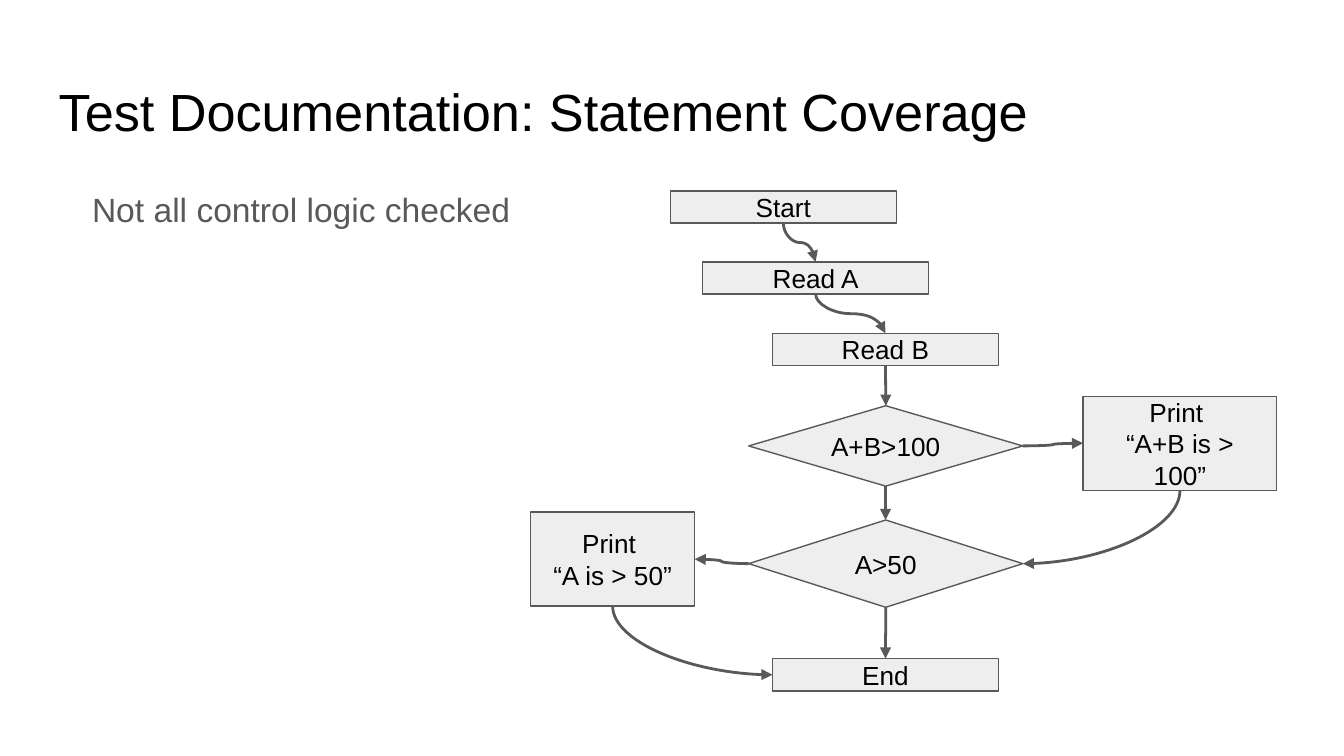
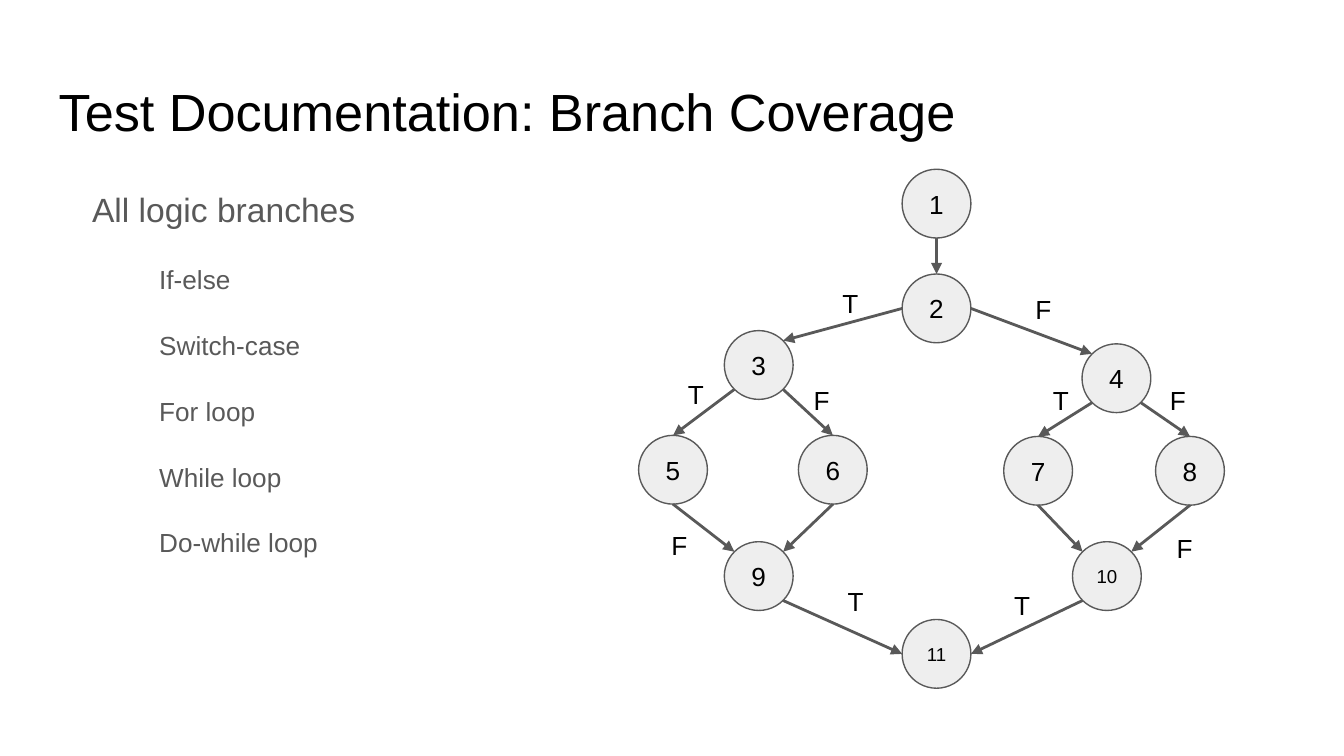
"""Build two slides on test documentation: statement coverage and branch coverage."""
from lxml import etree
from pptx import Presentation
from pptx.dml.color import RGBColor
from pptx.enum.shapes import MSO_CONNECTOR, MSO_SHAPE
from pptx.enum.text import MSO_ANCHOR, MSO_AUTO_SIZE, PP_ALIGN
from pptx.oxml.ns import qn
from pptx.util import Cm, Pt

BLACK = RGBColor(0x00, 0x00, 0x00)
GREY = RGBColor(0x59, 0x59, 0x59)
PALE = RGBColor(0xEE, 0xEE, 0xEE)
FONT = "Arial"
INSET = Cm(0.25)
RECT = MSO_SHAPE.RECTANGLE
DECISION = MSO_SHAPE.FLOWCHART_DECISION
CIRCLE = MSO_SHAPE.OVAL
CURVE = MSO_CONNECTOR.CURVE
STRAIGHT = MSO_CONNECTOR.STRAIGHT
TOP, BOTTOM, LEFT, RIGHT = (0, -1), (0, 1), (-1, 0), (1, 0)
DIAG = 0.71
TOP_LEFT, TOP_RIGHT = (-DIAG, -DIAG), (DIAG, -DIAG)
BOTTOM_LEFT, BOTTOM_RIGHT = (-DIAG, DIAG), (DIAG, DIAG)


def add_node(slide, outline, lines, box, size=14):
    """Add a centred text in an outline, or in a bare text box when outline is None."""
    lengths = [Cm(v) for v in box]
    if outline is None:
        node = slide.shapes.add_textbox(*lengths)
    else:
        node = slide.shapes.add_shape(outline, *lengths)
        node.shadow.inherit = False
        node.fill.solid()
        node.fill.fore_color.rgb = PALE
        node.line.color.rgb = GREY
        node.line.width = Pt(0.75)
    frame = node.text_frame
    frame.word_wrap = True
    frame.vertical_anchor = MSO_ANCHOR.MIDDLE
    frame.margin_left = frame.margin_right = frame.margin_top = frame.margin_bottom = INSET
    paragraph = frame.paragraphs[0]
    paragraph.alignment = PP_ALIGN.CENTER
    for i, line in enumerate(lines):
        if i:
            paragraph.add_line_break()
        run = paragraph.add_run()
        run.text = line
        run.font.name = FONT
        run.font.size = Pt(size)
        run.font.color.rgb = BLACK


def add_arrow(slide, kind, start_box, start_site, end_box, end_site):
    """Draw an arrow between sites given as offsets from the centre of each box."""
    (x1, y1), (x2, y2) = [
        (left + width / 2 * (1 + dx), top + height / 2 * (1 + dy))
        for (left, top, width, height), (dx, dy) in ((start_box, start_site), (end_box, end_site))
    ]
    turned = kind == CURVE and start_site == BOTTOM
    rightward = x2 >= x1
    if turned:
        mid_x, mid_y = (x1 + x2) / 2, (y1 + y2) / 2
        half_w = (y2 - y1) / 2 if rightward else (y1 - y2) / 2
        half_h = abs(x2 - x1) / 2
        x1, x2 = mid_x + half_w, mid_x - half_w
        y1, y2 = mid_y - half_h, mid_y + half_h
    arrow = slide.shapes.add_connector(kind, Cm(x1), Cm(y1), Cm(x2), Cm(y2))
    if turned:
        arrow.rotation = 270 if rightward else 90
    arrow.line.color.rgb = GREY
    arrow.line.width = Pt(1.5)
    properties = arrow.element.spPr
    if turned and end_site in (LEFT, RIGHT):
        properties.find(qn("a:prstGeom")).set("prst", "curvedConnector2")
    etree.SubElement(properties.find(qn("a:ln")), qn("a:tailEnd")).set("type", "triangle")
    etree.SubElement(properties, qn("a:effectLst"))


prs = Presentation()
prs.slide_width, prs.slide_height = Cm(25.4), Cm(14.29)

coverage_texts = [
    ("Statement", 23.67, [("Not all control logic checked", 0)]),
    ("Branch", 7.14, [("All logic branches", 0), ("If-else", 1), ("Switch-case", 1),
                      ("For loop", 1), ("While loop", 1), ("Do-while loop", 1)]),
]
for coverage, body_width, points in coverage_texts:
    slide = prs.slides.add_slide(prs.slide_layouts[5])
    title = slide.shapes.title
    title.left, title.top, title.width, title.height = Cm(0.86), Cm(1.24), Cm(23.67), Cm(1.6)
    body = slide.shapes.add_textbox(Cm(0.86), Cm(3.2), Cm(body_width), Cm(9.5))
    for frame in (title.text_frame, body.text_frame):
        frame.auto_size = MSO_AUTO_SIZE.NONE
        frame.word_wrap = True
        frame.vertical_anchor = MSO_ANCHOR.TOP
        frame.margin_left = frame.margin_right = frame.margin_top = frame.margin_bottom = INSET
    heading = title.text_frame.paragraphs[0]
    heading.alignment = PP_ALIGN.LEFT
    run = heading.add_run()
    run.text = f"Test Documentation: {coverage} Coverage"
    run.font.name = FONT
    run.font.size = Pt(28)
    run.font.color.rgb = BLACK
    for i, (point, level) in enumerate(points):
        paragraph = body.text_frame.add_paragraph() if i else body.text_frame.paragraphs[0]
        paragraph.level = level
        paragraph.line_spacing = 1.15
        paragraph.space_after = Pt(16)
        indents = paragraph._p.get_or_add_pPr()
        indents.set("marL", str(Cm(1.27 * (level + 1))))
        indents.set("indent", str(Cm(-0.64)))
        run = paragraph.add_run()
        run.text = point
        run.font.name = FONT
        run.font.size = Pt(14 if level else 18)
        run.font.color.rgb = GREY

statement_slide, branch_slide = prs.slides

steps = {
    "start": (RECT, ["Start"], (12.67, 3.61, 4.27, 0.61)),
    "read a": (RECT, ["Read A"], (13.28, 4.95, 4.27, 0.61)),
    "read b": (RECT, ["Read B"], (14.6, 6.3, 4.27, 0.61)),
    "sum test": (DECISION, ["A+B>100"], (14.15, 7.67, 5.18, 1.52)),
    "print sum": (RECT, ["Print ", "“A+B is > 100”"], (20.47, 7.49, 3.66, 1.78)),
    "print a": (RECT, ["Print ", "“A is > 50”"], (10.03, 9.68, 3.1, 1.78)),
    "end": (RECT, ["End"], (14.6, 12.45, 4.27, 0.61)),
    "a test": (DECISION, ["A>50"], (14.15, 9.83, 5.18, 1.65)),
}
for outline, lines, box in steps.values():
    add_node(statement_slide, outline, lines, box)

flows = [
    ("start", BOTTOM, "read a", TOP),
    ("read a", BOTTOM, "read b", TOP),
    ("read b", BOTTOM, "sum test", TOP),
    ("sum test", RIGHT, "print sum", LEFT),
    ("print sum", BOTTOM, "a test", RIGHT),
    ("a test", LEFT, "print a", RIGHT),
    ("print a", BOTTOM, "end", LEFT),
    ("a test", BOTTOM, "end", TOP),
    ("sum test", BOTTOM, "a test", TOP),
]
for source, source_site, target, target_site in flows:
    add_arrow(statement_slide, CURVE, steps[source][2], source_site, steps[target][2], target_site)

corners = [(17.05, 3.2), (17.05, 5.18), (13.69, 6.25), (20.45, 6.5), (12.07, 8.23), (15.09, 8.23),
           (18.97, 8.25), (21.84, 8.25), (13.69, 10.24), (20.27, 10.24), (17.05, 11.71)]
circles = {number: (left, top, 1.3, 1.3) for number, (left, top) in enumerate(corners, 1)}
for number, box in circles.items():
    add_node(branch_slide, CIRCLE, [str(number)], box, 14 if number < 10 else 10)

branches = [
    (1, BOTTOM, 2, TOP),
    (2, LEFT, 3, TOP_RIGHT),
    (3, BOTTOM_LEFT, 5, TOP),
    (3, BOTTOM_RIGHT, 6, TOP),
    (5, BOTTOM, 9, TOP_LEFT),
    (6, BOTTOM, 9, TOP_RIGHT),
    (9, BOTTOM_RIGHT, 11, LEFT),
    (10, BOTTOM_LEFT, 11, RIGHT),
    (2, RIGHT, 4, TOP_LEFT),
    (4, BOTTOM_LEFT, 7, TOP),
    (4, BOTTOM_RIGHT, 8, TOP),
    (7, BOTTOM, 10, TOP_LEFT),
    (8, BOTTOM, 10, TOP_RIGHT),
]
for source, source_site, target, target_site in branches:
    add_arrow(branch_slide, STRAIGHT, circles[source], source_site, circles[target], target_site)

outcomes = {
    "T": [(15.65, 5.38), (12.73, 7.11), (15.75, 11.02), (18.9, 11.1), (19.63, 7.21)],
    "F": [(19.3, 5.49), (21.84, 7.21), (21.97, 10.01), (15.11, 7.21), (12.42, 9.96)],
}
for outcome, places in outcomes.items():
    for left, top in places:
        add_node(branch_slide, None, [outcome], (left, top, 0.84, 0.69))

prs.save("out.pptx")
